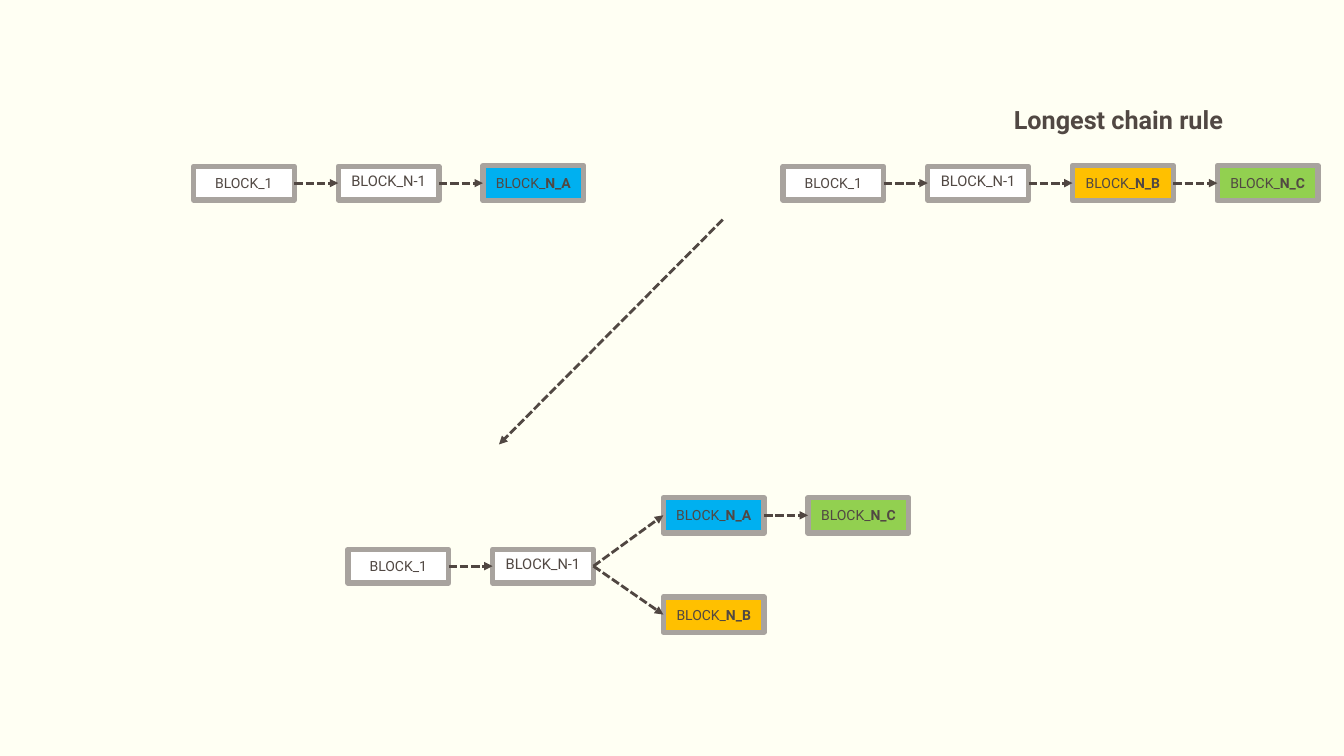
import pptx
import pptx.chart.data
import pptx.dml.color
import pptx.enum.dml
import pptx.enum.shapes
import pptx.enum.text
import pptx.oxml.ns
import pptx.util
from lxml import etree

Pt = pptx.util.Pt
COLORS = {
    "background": "FFFFF3", "text": "514843", "arrow": "504641", "border": "A8A39E",
    "white": "FFFFFF", "blue": "00B0F0", "amber": "FFC000", "green": "92D050",
}
FONT = "Roboto"
BLOCKS = {
    "1": dict(runs=[("BLOCK_1", False)], fill="white", height=24),
    "N-1": dict(runs=[("BLOCK_N-1", False)], fill="white", height=24, size=10.5, bottom=6.6),
    "A": dict(runs=[("BLOCK_", False), ("N_A", True)], fill="blue", height=25.2),
    "B": dict(runs=[("BLOCK_", False), ("N_B", True)], fill="amber", height=25.2),
    "C": dict(runs=[("BLOCK_", False), ("N_C", True)], fill="green", height=25.2),
}
CHAINS = {
    "first": (138.2, 130.8, ["1", "N-1", "A"]),
    "longest": (559.3, 130.8, ["1", "N-1", "B", "C"]),
    "trunk": (248.5, 404.4, ["1", "N-1"]),
    "upper branch": (473.8, 368.1, ["A", "C"]),
    "lower branch": (473.8, 439, ["B"]),
}
BRANCHES = [("trunk", "upper branch"), ("trunk", "lower branch")]
MERGE_ARROW = ((516.3, 156.9), (356.4, 317.5))
TITLE = "Longest chain rule"
TITLE_BOX = (717.1, 71.3, 235.4, 138.2)
BLOCK_WIDTH, BLOCK_PITCH = 72, 103.4


def rgb(name):
    return pptx.dml.color.RGBColor.from_string(COLORS[name])


def write_text(shape, runs, size=10, bottom=3.6, align="LEFT", anchor="TOP"):
    frame = shape.text_frame
    frame.word_wrap = True
    frame.margin_bottom = Pt(bottom)
    frame.vertical_anchor = pptx.enum.text.MSO_ANCHOR[anchor]
    paragraph = frame.paragraphs[0]
    paragraph.alignment = pptx.enum.text.PP_ALIGN[align]
    for text, bold in runs:
        run = paragraph.add_run()
        run.text = text
        run.font.name = FONT
        run.font.size = Pt(size)
        run.font.bold = bold
        run.font.color.rgb = rgb("text")


def add_block(slide, left, middle, runs, fill, height, **text_format):
    shape = slide.shapes.add_shape(
        pptx.enum.shapes.MSO_SHAPE.RECTANGLE,
        Pt(left), Pt(middle - height / 2), Pt(BLOCK_WIDTH), Pt(height))
    shape.shadow.inherit = False
    shape.fill.solid()
    shape.fill.fore_color.rgb = rgb(fill)
    shape.line.color.rgb = rgb("border")
    shape.line.width = Pt(3.78)
    write_text(shape, runs, align="CENTER", anchor="MIDDLE", **text_format)


def add_arrow(slide, start, end, color="arrow"):
    connector = slide.shapes.add_connector(
        pptx.enum.shapes.MSO_CONNECTOR.STRAIGHT, *[Pt(value) for value in start + end])
    connector.line.color.rgb = rgb(color)
    connector.line.width = Pt(2)
    connector.line.dash_style = pptx.enum.dml.MSO_LINE.SQUARE_DOT
    properties = connector._element.spPr
    line = properties.find(pptx.oxml.ns.qn("a:ln"))
    etree.SubElement(line, pptx.oxml.ns.qn("a:tailEnd"), type="triangle")
    etree.SubElement(properties, pptx.oxml.ns.qn("a:effectLst"))


def add_chain(slide, left, middle, names):
    for index, name in enumerate(names):
        block_left = left + index * BLOCK_PITCH
        add_block(slide, block_left, middle, **BLOCKS[name])
        if index:
            previous_right = block_left - BLOCK_PITCH + BLOCK_WIDTH
            add_arrow(slide, (previous_right, middle), (block_left, middle))


def chain_end(name):
    left, middle, names = CHAINS[name]
    return left + (len(names) - 1) * BLOCK_PITCH + BLOCK_WIDTH, middle


def main():
    presentation = pptx.Presentation()
    presentation.slide_width, presentation.slide_height = Pt(960), Pt(540)
    slide = presentation.slides.add_slide(presentation.slide_layouts[6])
    slide.background.fill.solid()
    slide.background.fill.fore_color.rgb = rgb("background")

    add_arrow(slide, *MERGE_ARROW, color="text")
    for chain in CHAINS.values():
        add_chain(slide, *chain)
    for source, target in BRANCHES:
        add_arrow(slide, chain_end(source), CHAINS[target][:2])
    title = slide.shapes.add_textbox(*[Pt(value) for value in TITLE_BOX])
    write_text(title, [(TITLE, True)], size=18)
    presentation.save("out.pptx")


if __name__ == "__main__":
    main()
